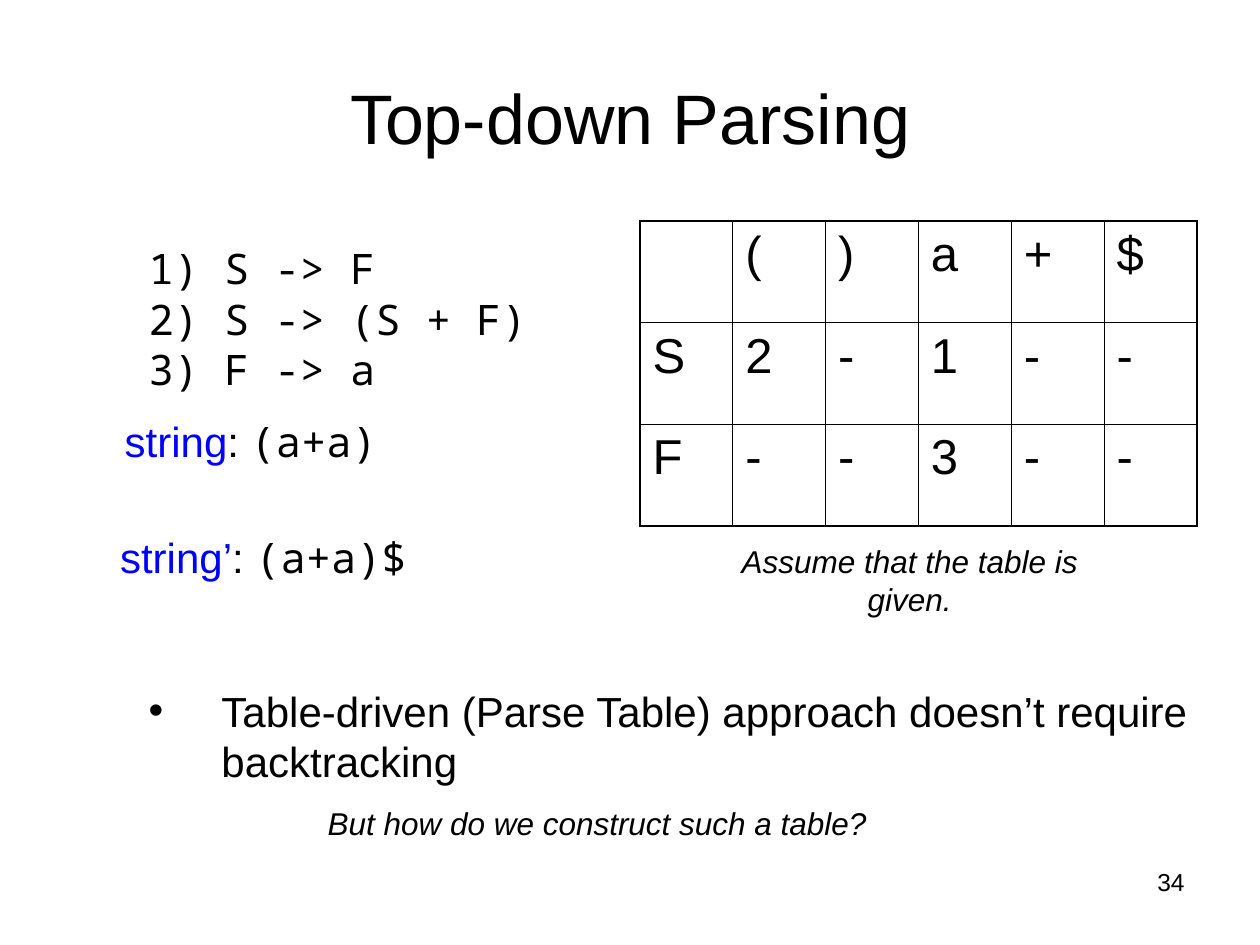
import pptx
import pptx.dml.color
import pptx.enum.text
import pptx.util
from lxml import etree
from pptx.oxml.ns import qn

Cm = pptx.util.Cm
Pt = pptx.util.Pt
Align = pptx.enum.text.PP_ALIGN
Anchor = pptx.enum.text.MSO_ANCHOR
AutoSize = pptx.enum.text.MSO_AUTO_SIZE

BLACK = pptx.dml.color.RGBColor(0x00, 0x00, 0x00)
BLUE = pptx.dml.color.RGBColor(0x00, 0x00, 0xFF)
SANS = "Arial"
MONO = "Noto Sans Mono"
INNER_LINE = Pt(0.45)
OUTER_LINE = Pt(1.08)

GRAMMAR = ["1) S -> F", "2) S -> (S + F)", "3) F -> a"]
PARSE_TABLE = [
    ["", "(", ")", "a", "+", "$"],
    ["S", "2", "-", "1", "-", "-"],
    ["F", "-", "-", "3", "-", "-"],
]


def add_span(para, text, size=24, font=SANS, color=BLACK, italic=False):
    span = para.add_run()
    span.text = text
    span.font.size = Pt(size)
    span.font.name = font
    span.font.color.rgb = color
    span.font.italic = italic


def set_border(cell, side, width):
    line = etree.SubElement(cell._tc.get_or_add_tcPr(), qn(f"a:ln{side}"), w=str(width))
    fill = etree.SubElement(line, qn("a:solidFill"))
    etree.SubElement(fill, qn("a:srgbClr"), val=str(BLACK))


class SlideWriter:
    def __init__(self, deck):
        self.page = deck.slides.add_slide(deck.slide_layouts[1])

    def place(self, box, left, top, width, height):
        box.left, box.top, box.width, box.height = map(Cm, (left, top, width, height))

    def title(self, text, *place):
        box = self.page.shapes.title
        self.place(box, *place)
        box.text_frame.vertical_anchor = Anchor.MIDDLE
        para = box.text_frame.paragraphs[0]
        para.alignment = Align.CENTER
        add_span(para, text, size=40)

    def body(self, rules, point, *place):
        box = self.page.placeholders[1]
        self.place(box, *place)
        frame = box.text_frame
        frame.auto_size = AutoSize.NONE
        for index, text in enumerate(rules + [point]):
            para = frame.add_paragraph() if index else frame.paragraphs[0]
            para.level = 1
            is_point = index == len(rules)
            properties = para._p.get_or_add_pPr()
            properties.set("marL", str(Cm(2.74)))
            properties.set("indent", str(Cm(-1.47)))
            if is_point:
                etree.SubElement(properties, qn("a:buFont"), typeface=SANS)
                etree.SubElement(properties, qn("a:buChar"), char="•")
            else:
                etree.SubElement(properties, qn("a:buNone"))
            para.line_spacing = Pt(29)
            para.space_before = Pt(166 if is_point else 0)
            add_span(para, text, font=SANS if is_point else MONO)

    def label(self, spans, *place, align=Align.CENTER, wrap=False):
        box = self.page.shapes.add_textbox(*map(Cm, place))
        box.text_frame.word_wrap = wrap
        para = box.text_frame.paragraphs[0]
        para.alignment = align
        for text, style in spans:
            add_span(para, text, **style)

    def table(self, rows, *place):
        last_row, last_column = len(rows) - 1, len(rows[0]) - 1
        frame = self.page.shapes.add_table(len(rows), len(rows[0]), *map(Cm, place))
        grid = frame.table
        grid.first_row = False
        grid.horz_banding = False
        for row, texts in enumerate(rows):
            for column, text in enumerate(texts):
                cell = grid.cell(row, column)
                outer = {"L": column == 0, "R": column == last_column,
                         "T": row == 0, "B": row == last_row}
                for side, is_outer in outer.items():
                    set_border(cell, side, OUTER_LINE if is_outer else INNER_LINE)
                cell.fill.background()
                if text:
                    add_span(cell.text_frame.paragraphs[0], text, size=28)


def main():
    deck = pptx.Presentation()
    deck.slide_width, deck.slide_height = Cm(25.4), Cm(19.05)
    writer = SlideWriter(deck)
    note = {"size": 18, "italic": True}

    writer.title("Top-down Parsing", 1.27, 0.76, 22.86, 3.18)
    writer.body(
        GRAMMAR,
        "Table-driven (Parse Table) approach doesn’t require backtracking",
        1.47, 4.75, 23.29, 12.57)
    writer.label(
        [("string", {"color": BLUE}), (": ", {}), ("(a+a)", {"font": MONO})],
        2.26, 8.26, 5.59, 1.27)
    writer.table(PARSE_TABLE, 12.9, 4.45, 11.23, 6.15)
    writer.label(
        [("string’", {"color": BLUE}), (": ", {}), ("(a+a)$", {"font": MONO})],
        2.16, 10.59, 6.3, 1.27)
    writer.label([("Assume that the table is given.", note)], 13.77, 10.8, 9.14, 1.02)
    writer.label([("But how do we construct such a table?", note)], 6.35, 16.08, 11.38, 1.02)
    writer.label([("34", {"size": 14})], 18.21, 17.35, 5.92, 1.32, align=Align.RIGHT, wrap=True)

    deck.save("out.pptx")


if __name__ == "__main__":
    main()
